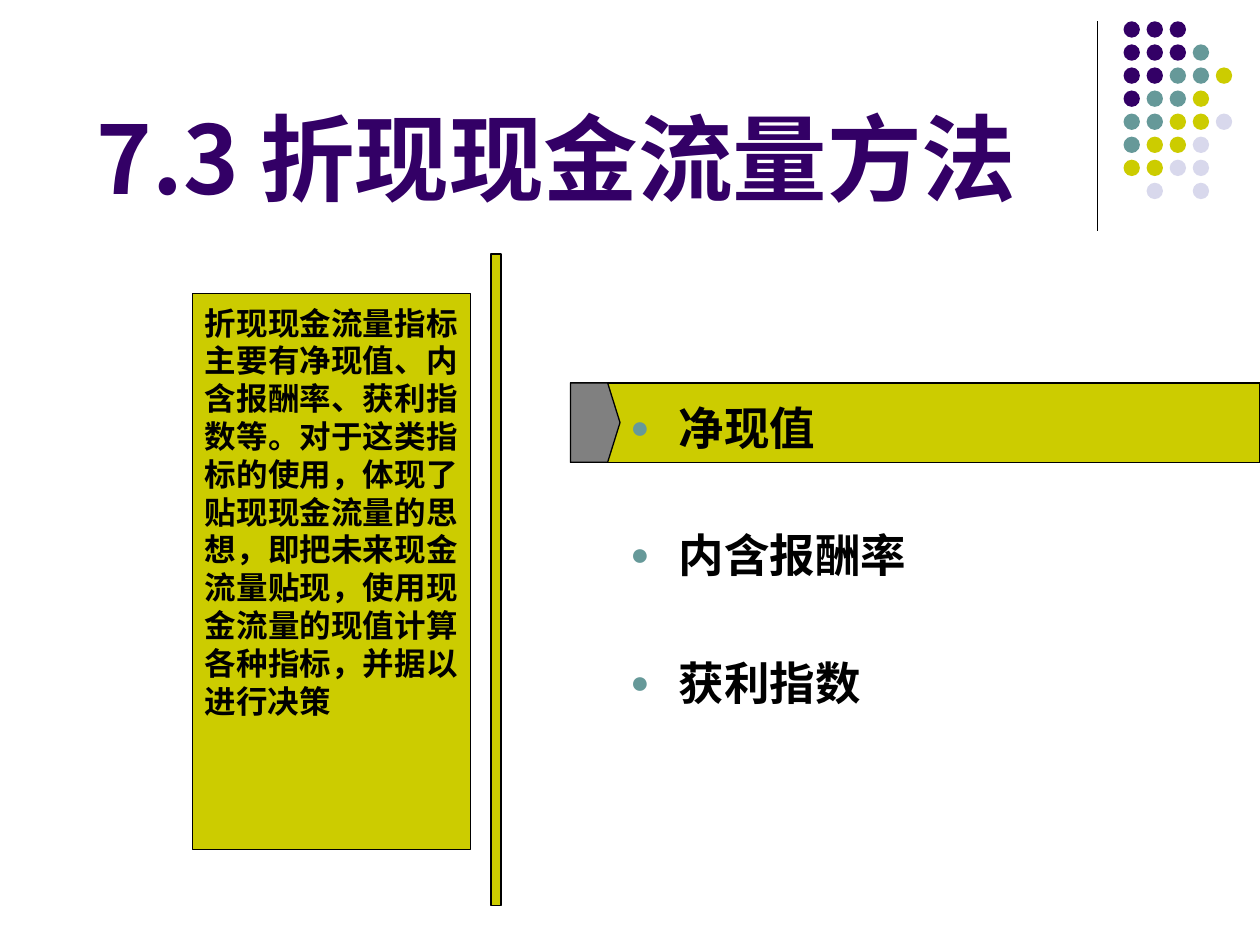
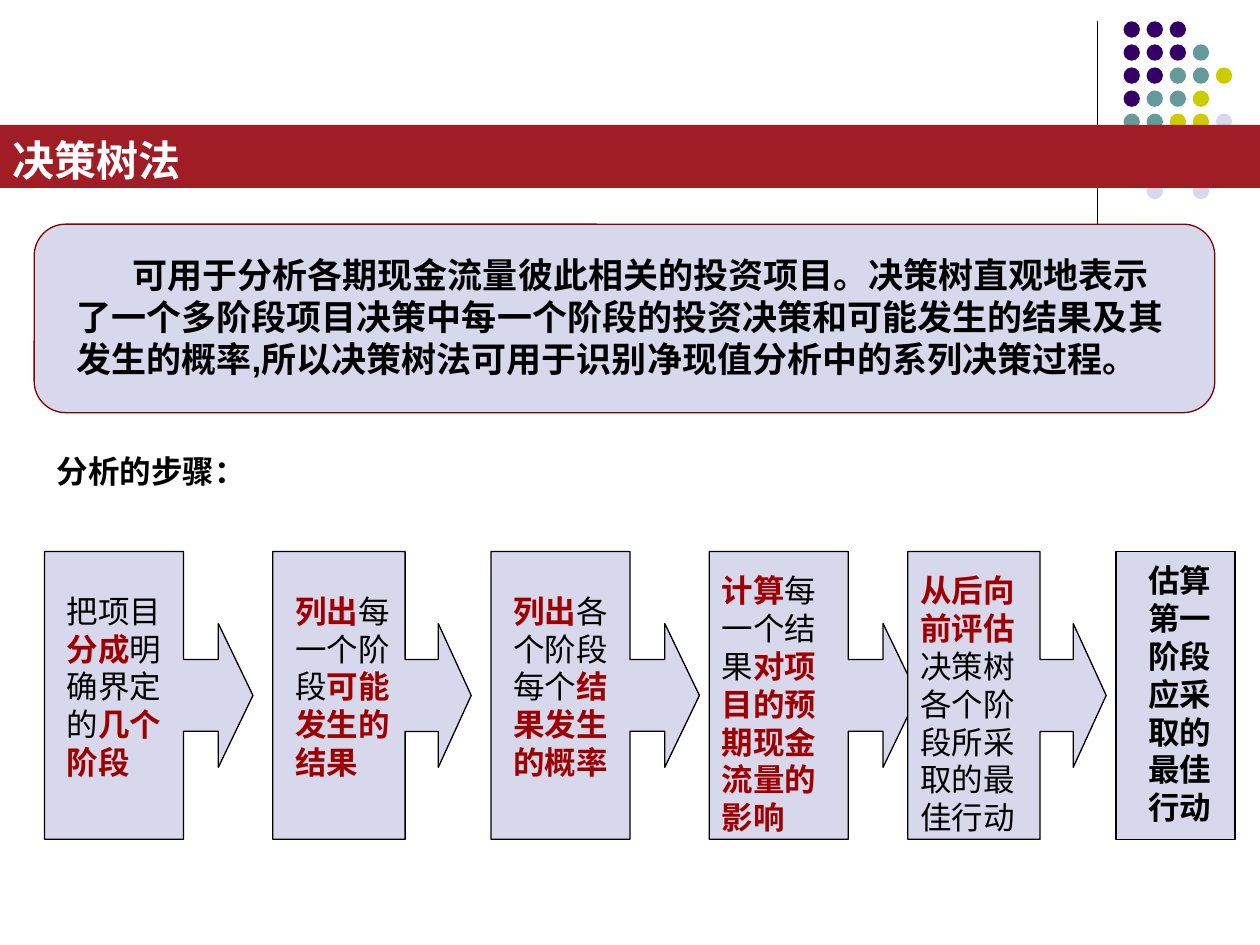
import dataclasses

import pptx
import pptx.dml.color
import pptx.enum.shapes
import pptx.enum.text
import pptx.oxml
import pptx.oxml.ns
import pptx.util
from lxml import etree

Cm = pptx.util.Cm
Pt = pptx.util.Pt
KINDS = pptx.enum.shapes.MSO_SHAPE
ALIGN = pptx.enum.text.PP_ALIGN
ANCHOR = pptx.enum.text.MSO_ANCHOR
qn = pptx.oxml.ns.qn


@dataclasses.dataclass(frozen=True)
class Theme:
    black: str = "000000"
    white: str = "FFFFFF"
    plum: str = "330066"
    teal: str = "669999"
    lime: str = "CCCC00"
    pale: str = "D8D8EC"
    gray: str = "808080"
    wine: str = "A11D26"
    edge: str = "800000"
    key: str = "9E0000"
    latin: str = "Arial"
    asian: str = "Noto Sans CJK SC"
    title: int = 54
    item: int = 26
    head: int = 24
    lead: int = 20
    body: int = 18
    rule: float = 0.75
    lead_ratio: float = 1.2


T = Theme()
DOTS = ("PPP", "PPPT", "PPTTL", "PTTL", "TTLLG", "TLLG", "LLGG", " G G")
TONES = {"P": T.plum, "T": T.teal, "L": T.lime, "G": T.pale}
ITEMS = ("净现值", "内含报酬率", "获利指数")
NOTE = ("折现现金流量指标主要有净现值、内含报酬率、获利指数等。"
        "对于这类指标的使用，体现了贴现现金流量的思想，"
        "即把未来现金流量贴现，使用现金流量的现值计算各种指标，并据以进行决策")
INTRO = ("可用于分析各期现金流量彼此相关的投资项目。"
         "决策树直观地表示了一个多阶段项目决策中每一个阶段的投资决策和"
         "可能发生的结果及其发生的概率,"
         "所以决策树法可用于识别净现值分析中的系列决策过程。")
# Left edge, width, whether the text fills the box, text with |key parts|
STEPS = (
    (0.9, 4.2, False, "把项目|分成|明确界定的|几个阶段|"),
    (5.5, 4.0, False, "|列出|每一个阶段|可能发生的结果|"),
    (9.9, 4.2, False, "|列出|各个阶段每个|结果发生的概率|"),
    (14.3, 4.2, True, "|计算|每一个结果|对项目的预期现金流量的影响|"),
    (18.3, 4.0, True, "|从后向前评估|决策树各个阶段所采取的最佳行动"),
)


def rgb(code):
    return pptx.dml.color.RGBColor.from_string(code)


def shape(slide, kind, box, fill, line=None, adjust=()):
    item = slide.shapes.add_shape(kind, *map(Cm, box))
    item.shadow.inherit = False
    item.fill.solid()
    item.fill.fore_color.rgb = rgb(fill)
    if line:
        item.line.color.rgb = rgb(line)
        item.line.width = Pt(T.rule)
    else:
        item.line.fill.background()
    for i, value in enumerate(adjust):
        item.adjustments[i] = value
    return item


def bullet(para, left, hang):
    props = para._p.get_or_add_pPr()
    props.set("marL", str(Cm(left)))
    props.set("indent", str(-Cm(hang)))
    color = etree.SubElement(props, qn("a:buClr"))
    etree.SubElement(color, qn("a:srgbClr"), val=T.teal)
    etree.SubElement(props, qn("a:buSzPct"), val="70000")
    etree.SubElement(props, qn("a:buFont"), typeface=T.latin)
    etree.SubElement(props, qn("a:buChar"), char="●")


def write(item, text, size=T.body, color=T.black, bold=True, latin=T.latin,
          align=ALIGN.LEFT, anchor=ANCHOR.TOP, left=0.25, top=0.2,
          first=0, gap=0, dots=False):
    """Fill a shape with lines of text; parts between bars are key words."""
    frame = item.text_frame
    frame.word_wrap = True
    frame.vertical_anchor = anchor
    frame.margin_left, frame.margin_right = Cm(left), Cm(0.25)
    frame.margin_top, frame.margin_bottom = Cm(top), Cm(0.13)
    for row, line in enumerate(text.split("\n")):
        para = frame.add_paragraph() if row else frame.paragraphs[0]
        if dots:
            bullet(para, 1.93, 0.97)
        elif first:
            para._p.get_or_add_pPr().set("indent", str(Cm(first)))
        para.alignment = align
        para.line_spacing = Pt(size * T.lead_ratio)
        if row:
            para.space_before = Pt(gap)
        for i, part in enumerate(line.split("|")):
            if not part:
                continue
            run = para.add_run()
            run.text = part
            run.font.size = Pt(size)
            run.font.bold = bold or i % 2 == 1
            run.font.color.rgb = rgb(T.key if i % 2 else color)
            run.font.name = latin
            etree.SubElement(run._r.get_or_add_rPr(), qn("a:ea"),
                             typeface=T.asian)


def label(slide, box, text, **form):
    write(slide.shapes.add_textbox(*map(Cm, box)), text, **form)


def corner(slide, left, top, skip=()):
    """Draw the rule and dot grid, without the rows a band covers."""
    rule = slide.shapes.add_connector(
        pptx.enum.shapes.MSO_CONNECTOR.STRAIGHT,
        Cm(left), Cm(top), Cm(left), Cm(top + 4.22))
    rule.line.color.rgb = rgb(T.black)
    rule.line.width = Pt(T.rule)
    etree.SubElement(rule._element.spPr, qn("a:effectLst"))
    step, size = 0.465, 0.33
    for row, marks in enumerate(DOTS):
        for col, mark in enumerate(marks):
            if mark in TONES and row not in skip:
                spot = (left + 0.53 + col * step, top + row * step, size, size)
                shape(slide, KINDS.OVAL, spot, TONES[mark])


def methods(slide, left, top, width, height):
    shape(slide, KINDS.RECTANGLE, (left, top, width, 1.6), T.lime, T.black)
    shape(slide, KINDS.PENTAGON, (left, top, 1, 1.6), T.gray, T.black, (0.25,))
    label(slide, (left, top, width, height), "\n".join(ITEMS),
          size=T.item, top=0.34, gap=41.7, dots=True)


def summary(slide, left, top, width, height):
    shape(slide, KINDS.RECTANGLE, (left + 6.02, top - 0.8, 0.2, 13.13),
          T.lime, T.black)
    note = shape(slide, KINDS.RECTANGLE, (left, top, width, height),
                 T.lime, T.black)
    write(note, NOTE, align=ALIGN.JUSTIFY)


def intro(slide, left, top, width, height):
    shape(slide, KINDS.ROUNDED_RECTANGLE, (left, top, width, height),
          T.pale, T.edge, (0.167,))
    label(slide, (left + 0.6, top + 0.4, width - 1, height - 1), INTRO,
          size=T.lead, first=1.13)


def steps(slide, top, height):
    for left, width, full, text in STEPS:
        head = 1.45 / width
        shape(slide, KINDS.RIGHT_ARROW_CALLOUT, (left, top, width, height),
              T.pale, T.black, (head, head, 0.166, 0.667))
        if full:
            box = (left, top + 0.2, 3, height - 0.2)
        else:
            box = (left + 0.2, top + 0.61, 2.8, 4.06)
        label(slide, box, text, bold=False)
    shape(slide, KINDS.RECTANGLE, (22.5, top, 2.4, height), T.pale, T.black)
    label(slide, (22.9, top, 1.83, height - 0.2),
          "估算第一阶段应采取的最佳行动")


def flows(slide):
    corner(slide, 22.12, 0.43)
    label(slide, (1.27, 1.6, 20.96, 3.1), "7.3 折现现金流量方法",
          size=T.title, color=T.plum, latin=T.asian, left=0.68, top=0.13,
          anchor=ANCHOR.MIDDLE)
    summary(slide, 3.88, 5.92, 5.6, 11.2)
    methods(slide, 11.5, 7.72, 13.9, 7.6)


def tree(slide):
    corner(slide, 22.12, 0.43, skip=(5, 6))
    band = shape(slide, KINDS.RECTANGLE, (0, 2.52, 25.4, 1.27), T.wine)
    write(band, "决策树法", size=T.head, color=T.white)
    intro(slide, 0.69, 4.52, 23.8, 3.8)
    label(slide, (0.9, 8.92, 4.5, 1.02), "分析的步骤：")
    steps(slide, 11.12, 5.8)


def main():
    deck = pptx.Presentation()
    deck.slide_width, deck.slide_height = Cm(25.4), Cm(19.05)
    for build in (flows, tree):
        build(deck.slides.add_slide(deck.slide_layouts[6]))
    deck.save("out.pptx")


if __name__ == "__main__":
    main()
